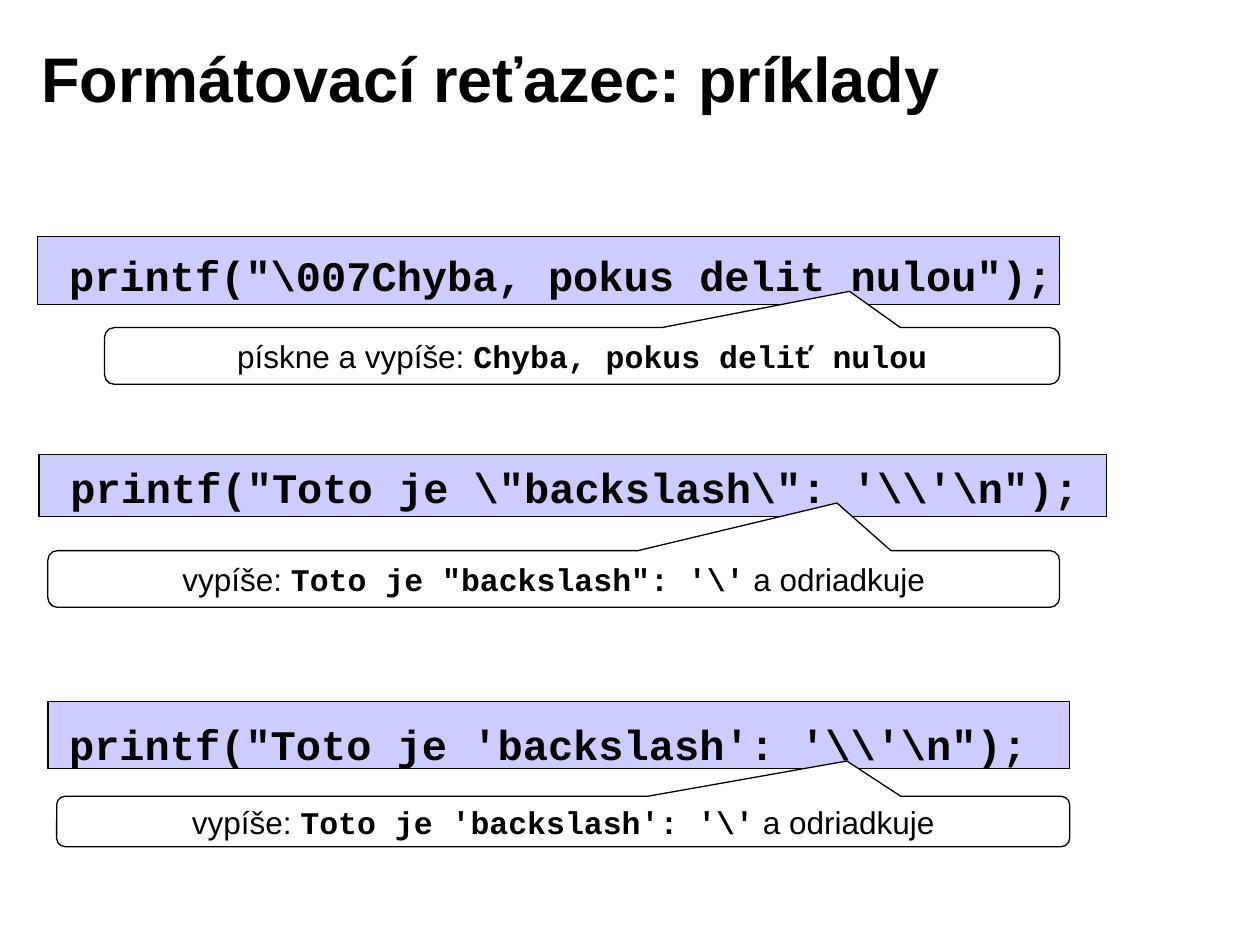
from pptx import Presentation
from pptx.util import Inches, Pt
from pptx.dml.color import RGBColor
from pptx.enum.shapes import MSO_SHAPE as Kind
from pptx.enum.text import PP_ALIGN as Align, MSO_ANCHOR as Anchor

SANS, MONO = "Arial", "Courier New"
TITLE = "Formátovací reťazec: príklady"
CASES = [
    {"code": r'printf("\007Chyba, pokus delit nulou");',
     "bar": (0.3, 1.88, 8.11, 0.54), "label": (0.45, 1.93, 8.04, 0.5),
     "note": (0.83, 2.6, 7.58, 0.45), "tip": (0.28, -1.14),
     "parts": [("pískne a vypíše: ", SANS), ("Chyba, pokus deliť nulou", MONO)]},
    {"code": r'''printf("Toto je \"backslash\": '\\'\n");''',
     "bar": (0.31, 3.61, 8.47, 0.49), "label": (0.46, 3.61, 8.32, 0.5),
     "note": (0.38, 4.37, 8.03, 0.45), "tip": (0.28, -1.34),
     "parts": [("vypíše: ", SANS), (r'''Toto je "backslash": '\'''', MONO),
               (" a odriadkuje", SANS)]},
    {"code": r'''printf("Toto je 'backslash': '\\'\n");''',
     "bar": (0.38, 5.57, 8.11, 0.53), "label": (0.45, 5.65, 8.03, 0.5),
     "note": (0.45, 6.32, 8.04, 0.4), "tip": (0.28, -1.2),
     "parts": [("vypíše: ", SANS), (r"Toto je 'backslash': '\'", MONO),
               (" a odriadkuje", SANS)]},
]


def color(text):
    return RGBColor.from_string(text)


def style(font, name, size, bold):
    font.name, font.size, font.bold = name, Pt(size), bold
    font.color.rgb = color("000000")


def add_box(shapes, kind, area, fill):
    box = shapes.add_shape(kind, *map(Inches, area))
    box.shadow.inherit = False
    box.fill.solid()
    box.fill.fore_color.rgb = color(fill)
    box.line.color.rgb = color("000000")
    box.line.width = Pt(0.75)
    return box


def add_code(shapes, case):
    group = shapes.add_group_shape().shapes
    add_box(group, Kind.RECTANGLE, case["bar"], "CCCCFF")
    frame = group.add_textbox(*map(Inches, case["label"])).text_frame
    frame.word_wrap = True
    para = frame.paragraphs[0]
    para.text = case["code"]
    style(para.font, MONO, 24, True)


def add_note(shapes, case):
    note = add_box(shapes, Kind.ROUNDED_RECTANGULAR_CALLOUT, case["note"], "FFFFFF")
    for i, value in enumerate((*case["tip"], 0.17)):
        note.adjustments[i] = value
    frame = note.text_frame
    frame.word_wrap = True
    frame.vertical_anchor = Anchor.MIDDLE
    frame.margin_left = frame.margin_right = Inches(0.09)
    para = frame.paragraphs[0]
    para.alignment = Align.CENTER
    for text, name in case["parts"]:
        run = para.add_run()
        run.text = text
        style(run.font, name, 18, name == MONO)


deck = Presentation()
deck.slide_width, deck.slide_height = Inches(10), Inches(7.5)
slide = deck.slides.add_slide(deck.slide_layouts[5])
title = slide.shapes.title
title.left, title.top, title.width, title.height = map(Inches, (0.23, 0.15, 8.03, 0.93))
title.text_frame.text = TITLE
title.text_frame.vertical_anchor = Anchor.MIDDLE
head = title.text_frame.paragraphs[0]
head.alignment = Align.LEFT
style(head.font, SANS, 36, True)

for case in CASES:
    add_code(slide.shapes, case)
    add_note(slide.shapes, case)

deck.save("out.pptx")
